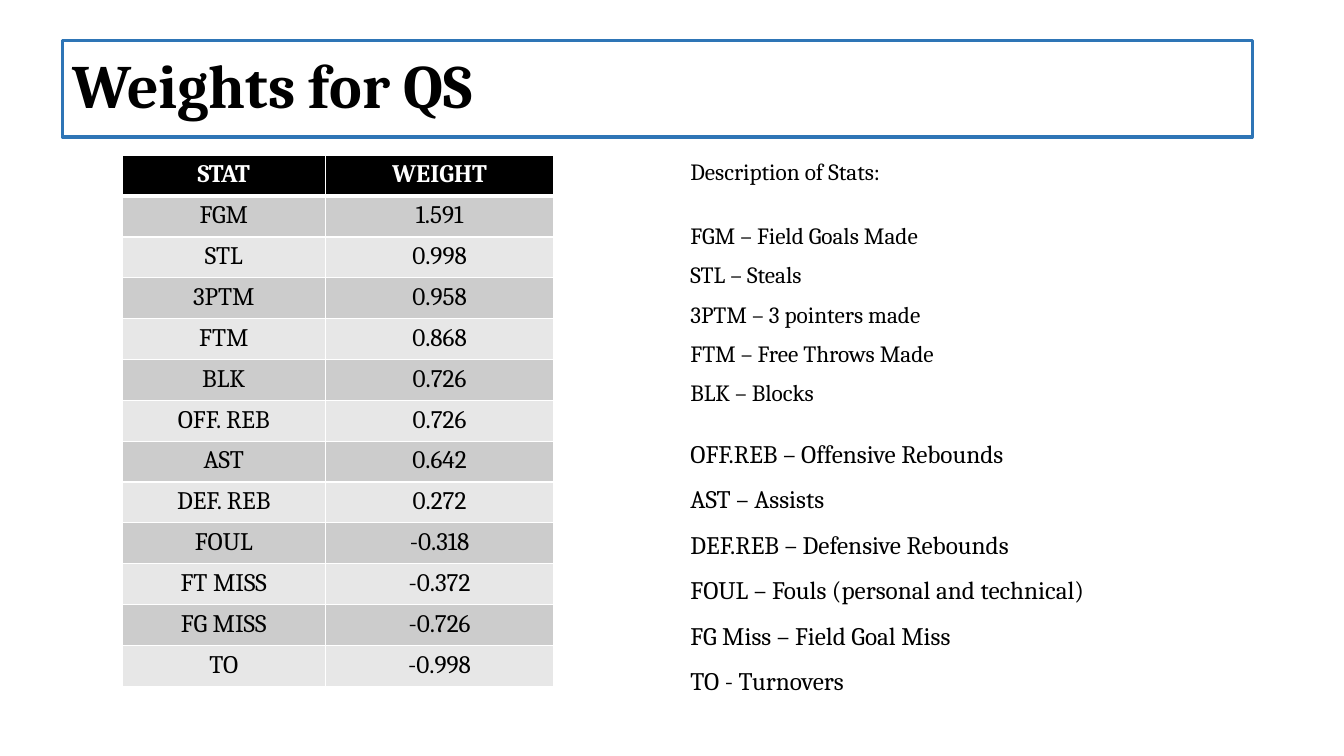
from lxml import etree
from pptx import Presentation, util as u
from pptx.dml.color import RGBColor
from pptx.enum import text
from pptx.oxml import ns

BLACK = RGBColor(0x00, 0x00, 0x00)
WHITE = RGBColor(0xFF, 0xFF, 0xFF)
BLUE = RGBColor(0x2E, 0x75, 0xB6)
DARK_BAND = RGBColor(0xCC, 0xCC, 0xCC)
LIGHT_BAND = RGBColor(0xE7, 0xE7, 0xE7)
LEFT, CENTER = text.PP_ALIGN.LEFT, text.PP_ALIGN.CENTER

WEIGHTS = [
    ("STAT", "WEIGHT"),
    ("FGM", "1.591"),
    ("STL", "0.998"),
    ("3PTM", "0.958"),
    ("FTM", "0.868"),
    ("BLK", "0.726"),
    ("OFF. REB", "0.726"),
    ("AST", "0.642"),
    ("DEF. REB", "0.272"),
    ("FOUL", "-0.318"),
    ("FT MISS", "-0.372"),
    ("FG MISS", "-0.726"),
    ("TO", "-0.998"),
]
SCORING_STATS = [
    "FGM – Field Goals Made",
    "STL – Steals",
    "3PTM – 3 pointers made",
    "FTM – Free Throws Made",
    "BLK – Blocks",
]
OTHER_STATS = [
    "OFF.REB – Offensive Rebounds",
    "AST – Assists",
    "DEF.REB – Defensive Rebounds",
    "FOUL – Fouls (personal and technical)",
    "FG Miss – Field Goal Miss",
    "TO - Turnovers",
]


def write(p, words, size=18, color=BLACK, bold=False, align=LEFT, spacing=1.0, before=0):
    p.alignment = align
    p.line_spacing = spacing
    p.space_before = u.Pt(before)
    r = p.add_run()
    r.text = words
    r.font.name = "Cambria"
    r.font.size = u.Pt(size)
    r.font.bold = bold
    r.font.color.rgb = color


def border(cell, side, width):
    tc_pr = cell._tc.get_or_add_tcPr()
    ln = etree.SubElement(tc_pr, ns.qn("a:" + side), w=str(u.Pt(width)))
    fill = etree.SubElement(ln, ns.qn("a:solidFill"))
    etree.SubElement(fill, ns.qn("a:srgbClr"), val=str(WHITE))


class Deck:
    def __init__(self, width, height):
        self.prs = Presentation()
        self.prs.slide_width = u.Inches(width)
        self.prs.slide_height = u.Inches(height)
        self.s = self.prs.slides.add_slide(self.prs.slide_layouts[5])

    def title(self, words, left, top, width, height):
        sp = self.s.shapes.title
        sp.left, sp.top = u.Inches(left), u.Inches(top)
        sp.width, sp.height = u.Inches(width), u.Inches(height)
        sp.line.color.rgb = BLUE
        sp.line.width = u.Pt(2.25)
        tf = sp.text_frame
        tf.auto_size = text.MSO_AUTO_SIZE.NONE
        tf.vertical_anchor = text.MSO_ANCHOR.MIDDLE
        write(tf.paragraphs[0], words, size=44, bold=True, spacing=0.9)

    def text_box(self, lines, left, top, width, height):
        sp = self.s.shapes.add_textbox(*map(u.Inches, (left, top, width, height)))
        tf = sp.text_frame
        tf.word_wrap = True
        for i, (words, style) in enumerate(lines):
            p = tf.add_paragraph() if i else tf.paragraphs[0]
            write(p, words, **style)

    def table(self, rows, left, top, widths, height):
        sp = self.s.shapes.add_table(
            len(rows), len(widths), u.Inches(left), u.Inches(top),
            u.Inches(sum(widths)), u.Inches(height))
        for col, width in zip(sp.table.columns, widths):
            col.width = u.Inches(width)
        for i, row in enumerate(rows):
            header = i == 0
            band = BLACK if header else DARK_BAND if i % 2 else LIGHT_BAND
            for j, words in enumerate(row):
                cell = sp.table.cell(i, j)
                border(cell, "lnL", 1)
                border(cell, "lnR", 1)
                border(cell, "lnT", 3 if i == 1 else 1)
                border(cell, "lnB", 3 if header else 1)
                cell.fill.solid()
                cell.fill.fore_color.rgb = band
                write(cell.text_frame.paragraphs[0], words, bold=header,
                      color=WHITE if header else BLACK, align=CENTER)


def main():
    deck = Deck(13.33, 7.5)
    deck.title("Weights for QS", 0.62, 0.4, 11.8, 0.96)
    lines = [("Description of Stats:", dict(size=16.6, spacing=0.9))]
    lines += [(stat, dict(size=16.6, spacing=1.4, before=0 if i else 18))
              for i, stat in enumerate(SCORING_STATS)]
    deck.text_box(lines, 6.75, 1.54, 3.37, 2.71)
    deck.table(WEIGHTS, 1.21, 1.54, (2.02, 2.26), 5.27)
    deck.text_box([(stat, dict(spacing=1.5)) for stat in OTHER_STATS],
                  6.75, 4.15, 4.71, 2.83)
    deck.prs.save("out.pptx")


if __name__ == "__main__":
    main()
